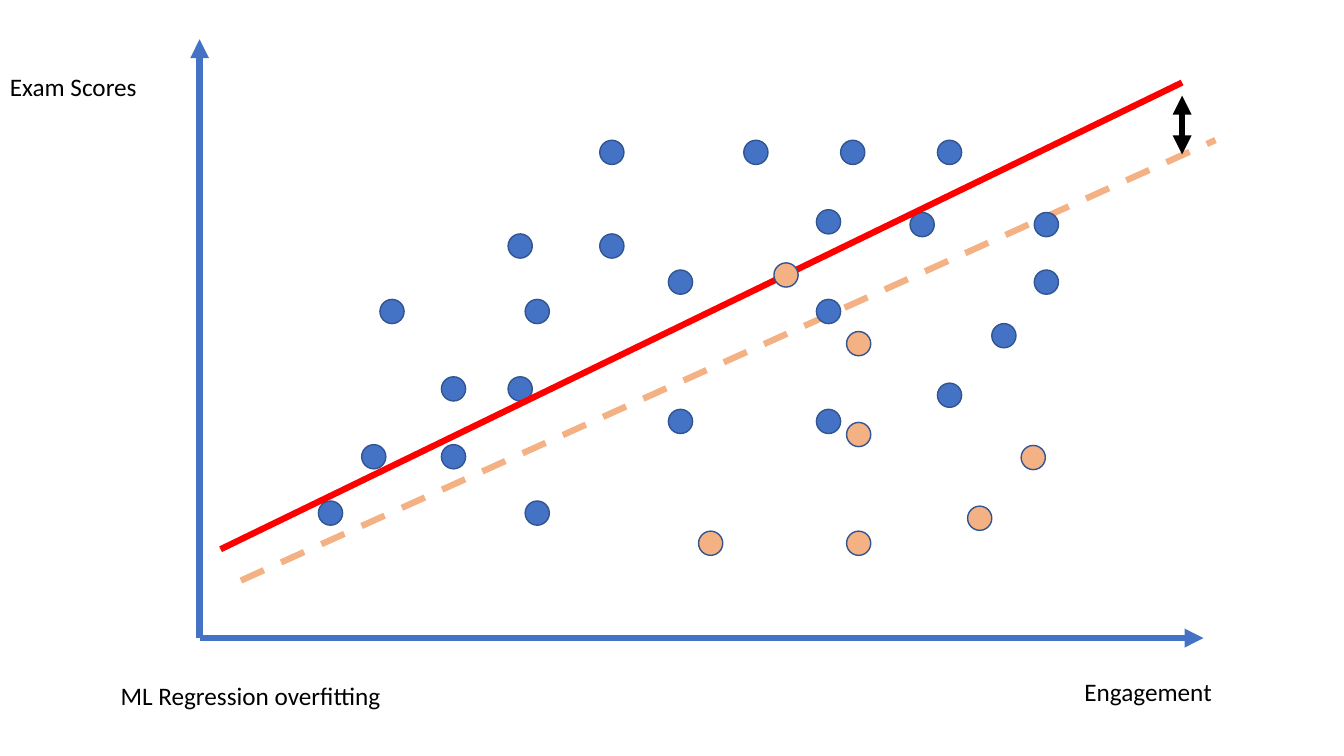
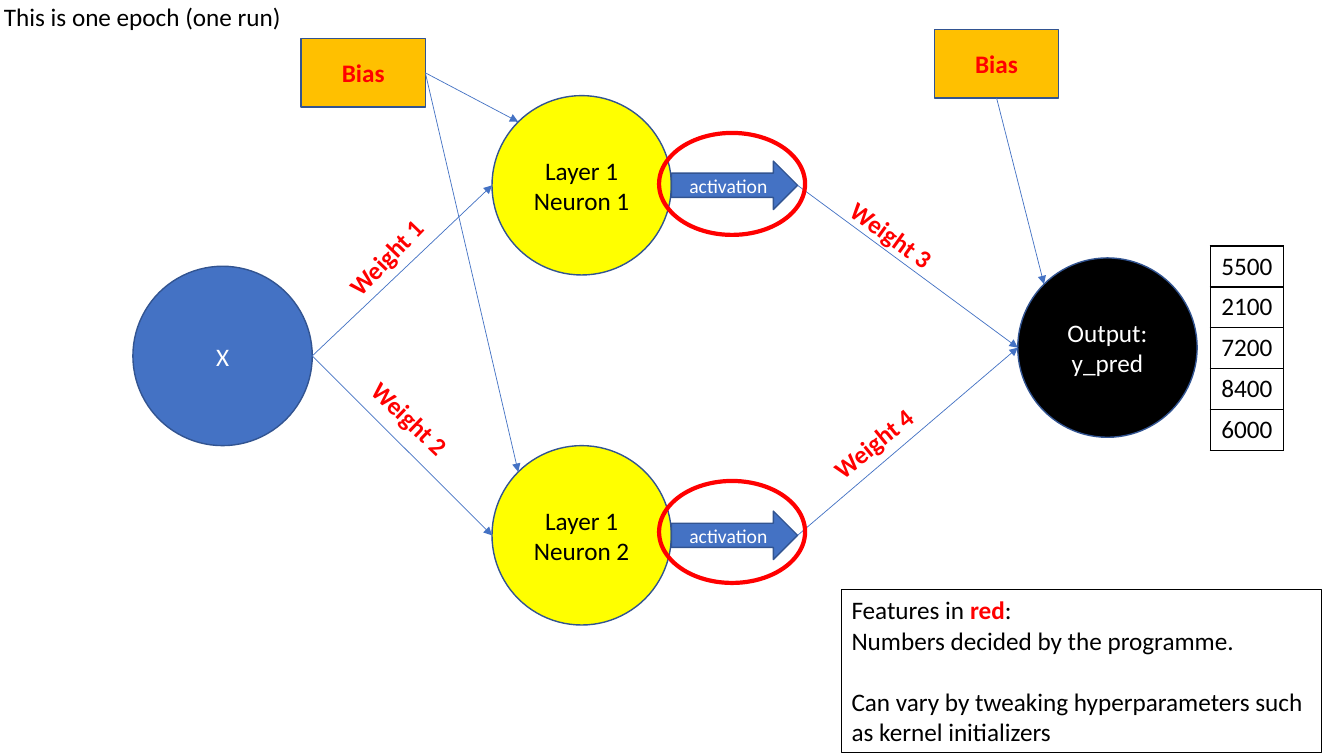
from pptx import Presentation
from pptx.dml.color import RGBColor
from pptx.enum.dml import MSO_LINE_DASH_STYLE as Dash
from pptx.enum.shapes import MSO_CONNECTOR as Connector, MSO_SHAPE as Shape
from pptx.enum.text import MSO_ANCHOR as Anchor, PP_ALIGN as Align
from pptx.oxml.ns import qn
from pptx.util import Cm, Pt
from lxml.etree import SubElement

BLUE = RGBColor(0x44, 0x72, 0xC4)
OUTLINE = RGBColor(0x32, 0x54, 0x91)
PEACH = RGBColor(0xF4, 0xB1, 0x83)
RED = RGBColor(0xFF, 0x00, 0x00)
YELLOW = RGBColor(0xFF, 0xFF, 0x00)
AMBER = RGBColor(0xFF, 0xC0, 0x00)
BLACK = RGBColor(0x00, 0x00, 0x00)
WHITE = RGBColor(0xFF, 0xFF, 0xFF)

FONT = "Calibri"
LABEL_HEIGHT = 1.02
DOT = 0.61
CIRCLE = 4.52
BIAS_WIDTH, BIAS_HEIGHT = 3.13, 1.73
ARROW_WIDTH, ARROW_HEIGHT = 3.18, 1.22
DIAGONAL = 0.146


class Sketch:
    def __init__(self):
        self.deck = Presentation()
        self.deck.slide_width, self.deck.slide_height = Cm(33.87), Cm(19.05)
        self.page = None

    def add_page(self):
        self.page = self.deck.slides.add_slide(self.deck.slide_layouts[6])

    def add_span(self, para, text, color=BLACK, bold=False, size=18):
        span = para.add_run()
        span.text = text
        span.font.name = FONT
        span.font.size = Pt(size)
        span.font.bold = bold
        span.font.color.rgb = color

    def label(self, text, left, top, width, color=BLACK, bold=False, turn=0):
        box = self.page.shapes.add_textbox(Cm(left), Cm(top), Cm(width), Cm(LABEL_HEIGHT))
        box.text_frame.word_wrap = True
        box.rotation = turn
        self.add_span(box.text_frame.paragraphs[0], text, color, bold)

    def shape(self, kind, left, top, width, height, fill, line=OUTLINE, weight=1):
        shape = self.page.shapes.add_shape(kind, Cm(left), Cm(top), Cm(width), Cm(height))
        shape.shadow.inherit = False
        if fill is None:
            shape.fill.background()
        else:
            shape.fill.solid()
            shape.fill.fore_color.rgb = fill
        shape.line.color.rgb = line
        shape.line.width = Pt(weight)
        return shape

    def node(self, kind, text, left, top, width, height, fill, color, **style):
        shape = self.shape(kind, left, top, width, height, fill)
        shape.text_frame.vertical_anchor = Anchor.MIDDLE
        para = shape.text_frame.paragraphs[0]
        para.alignment = Align.CENTER
        self.add_span(para, text, color, **style)

    def circle(self, text, left, top, fill, color):
        self.node(Shape.OVAL, text, left, top, CIRCLE, CIRCLE, fill, color)

    def dots(self, centers, fill):
        for x, y in centers:
            self.shape(Shape.OVAL, x - DOT / 2, y - DOT / 2, DOT, DOT, fill)

    def line(self, start, end, color=BLUE, weight=0.5, heads=("tailEnd",), dash=None):
        points = [Cm(value) for value in (*start, *end)]
        line = self.page.shapes.add_connector(Connector.STRAIGHT, *points)
        line.line.color.rgb = color
        line.line.width = Pt(weight)
        if dash:
            line.line.dash_style = dash
        outline = line._element.spPr.find(qn("a:ln"))
        for head in heads:
            SubElement(outline, qn("a:" + head), type="triangle")
        SubElement(line._element.spPr, qn("a:effectLst"))

    def column(self, values, left, top, width, row_height):
        frame = self.page.shapes.add_table(
            len(values), 1, Cm(left), Cm(top), Cm(width), Cm(row_height * len(values)))
        table = frame.table
        table.first_row = table.horz_banding = False
        for row, value in enumerate(values):
            cell = table.cell(row, 0)
            properties = cell._tc.get_or_add_tcPr()
            for side in ("lnL", "lnR", "lnT", "lnB"):
                border = SubElement(properties, qn("a:" + side), w=str(Pt(1)))
                paint = SubElement(border, qn("a:solidFill"))
                SubElement(paint, qn("a:srgbClr"), val=str(BLACK))
            cell.fill.solid()
            cell.fill.fore_color.rgb = WHITE
            para = cell.text_frame.paragraphs[0]
            para.alignment = Align.CENTER
            self.add_span(para, value)

    def note(self, paragraphs, left, top, width, height):
        box = self.page.shapes.add_textbox(Cm(left), Cm(top), Cm(width), Cm(height))
        box.line.color.rgb = BLACK
        box.line.width = Pt(0.75)
        frame = box.text_frame
        frame.word_wrap = True
        for number, (gap, spans) in enumerate(paragraphs):
            para = frame.add_paragraph() if number else frame.paragraphs[0]
            if gap:
                para.space_before = Pt(gap)
            for span in spans:
                self.add_span(para, *span)


def regression_page(sketch):
    sketch.add_page()
    origin = (5.03, 16.08)
    sketch.line((6.07, 14.63), (30.63, 3.53), PEACH, 4.5, (), Dash.DASH)
    for end in ((30.33, 16.08), (5.03, 0.99)):
        sketch.line(origin, end, weight=4.5)
    sketch.label("Engagement", 27.08, 16.92, 4.6)
    sketch.label("Exam Scores", 0, 1.68, 4.6)
    sketch.label("ML Regression overfitting", 2.79, 17.02, 8)
    sketch.dots([
        (8.33, 12.93), (13.54, 12.93), (13.54, 7.85), (9.88, 7.85), (20.88, 7.85),
        (20.88, 10.62), (17.15, 10.62), (17.15, 7.11), (26.37, 7.11), (26.37, 5.66),
        (23.24, 5.66), (25.3, 8.46), (23.93, 9.96), (23.93, 3.84), (21.49, 3.84),
        (19.05, 3.84), (15.42, 3.84), (15.42, 6.2), (13.11, 6.2), (13.11, 9.8),
        (11.43, 9.8), (11.43, 11.51), (9.42, 11.51), (20.88, 5.59),
    ], BLUE)
    sketch.line((5.56, 13.84), (29.79, 2.08), RED, 4.5, ())
    sketch.dots([
        (21.64, 10.95), (21.64, 13.69), (17.91, 13.69), (26.04, 11.53),
        (24.69, 13.06), (19.81, 6.93), (21.64, 8.66),
    ], PEACH)
    sketch.line((29.79, 2.41), (29.79, 3.89), BLACK, 4.5, ("headEnd", "tailEnd"))


def network_page(sketch):
    sketch.add_page()
    input_left, input_top = 3.35, 6.71
    neuron_left = 12.4
    output_left, output_top = 25.65, 6.5
    hidden_bias, output_bias = (7.59, 0.97), (23.55, 0.74)
    arrow_left = neuron_left + CIRCLE
    corner = CIRCLE * DIAGONAL

    sketch.circle("X", input_left, input_top, BLUE, WHITE)
    sketch.circle("Output: y_pred", output_left, output_top, BLACK, WHITE)
    for left, top in (hidden_bias, output_bias):
        sketch.node(Shape.RECTANGLE, "Bias", left, top, BIAS_WIDTH, BIAS_HEIGHT,
                    AMBER, RED, bold=True)
    sketch.line((output_bias[0] + BIAS_WIDTH / 2, output_bias[1] + BIAS_HEIGHT),
                (output_left + corner, output_top + corner))

    for number, top, ring_top in ((1, 2.41, 3.35), (2, 11.23, 12.12)):
        middle = top + CIRCLE / 2
        sketch.circle(f"Layer 1 Neuron {number}", neuron_left, top, YELLOW, BLACK)
        sketch.line((input_left + CIRCLE, input_top + CIRCLE / 2), (neuron_left, middle))
        sketch.line((hidden_bias[0] + BIAS_WIDTH, hidden_bias[1] + BIAS_HEIGHT / 2),
                    (neuron_left + corner, top + corner))
        sketch.line((arrow_left + ARROW_WIDTH, middle),
                    (output_left, output_top + CIRCLE / 2))
        sketch.node(Shape.RIGHT_ARROW, "activation", arrow_left, middle - ARROW_HEIGHT / 2,
                    ARROW_WIDTH, ARROW_HEIGHT, BLUE, WHITE, size=14)
        sketch.shape(Shape.OVAL, 16.61, ring_top, 3.68, 2.57, None, RED, 3)

    weights = ((8.28, 5.94, -46.2), (8.89, 10.06, 43.7),
               (21.03, 5.44, 35.8), (20.57, 10.62, -39.2))
    for number, (left, top, turn) in enumerate(weights, 1):
        sketch.label(f"Weight {number}", left, top, 2.95, RED, True, turn)

    sketch.column(["5500", "2100", "7200", "8400", "6000"], 30.5, 6.2, 1.85, 1.03)
    sketch.note([
        (0, [("Features in ",), ("red", RED, True), (":",)]),
        (0, [("Numbers decided by the programme.",)]),
        (22, [("Can vary by tweaking hyperparameters such as kernel initializers",)]),
    ], 21.21, 14.86, 12.09, 4.11)
    sketch.label("This is one epoch (one run)", -0.15, -0.08, 8.64)


def main():
    sketch = Sketch()
    regression_page(sketch)
    network_page(sketch)
    sketch.deck.save("out.pptx")


if __name__ == "__main__":
    main()
